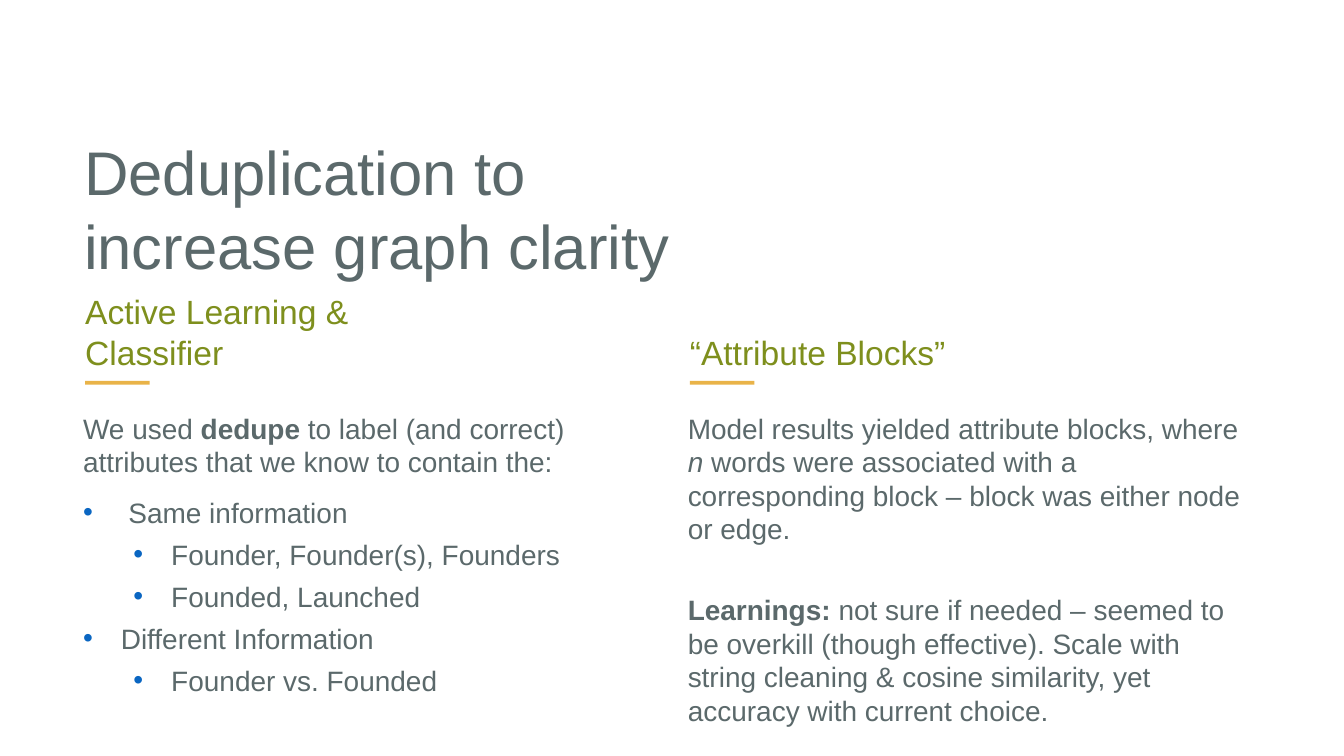
from lxml.etree import SubElement
from pptx import Presentation
from pptx.dml.color import RGBColor
from pptx.enum.shapes import MSO_SHAPE as Shape
from pptx.enum.text import MSO_ANCHOR as Anchor, MSO_AUTO_SIZE as AutoSize
from pptx.oxml.ns import qn
from pptx.util import Emu, Pt

EMU_PER_PX = 9144  # 100 px to the inch
SLATE, OLIVE, GOLD, BLUE = "5B696B", "7E8F1D", "E9B348", "0A66C2"
BODY_SIZE, TITLE_SIZE, HEADING_SIZE = 40, 88, 48
HANG = 75
COLUMN_WIDTH = 1136


def px(length):
    return Emu(length * EMU_PER_PX)


def color(hex_text):
    return RGBColor.from_string(hex_text)


class SlideBuilder:
    font_name = "Arial"
    line_factor = 1.2

    def __init__(self, page):
        self.page = page

    def text_box(self, left, top, width, height):
        box = self.page.shapes.add_textbox(px(left), px(top), px(width), px(height))
        box.text_frame.word_wrap = True
        return box.text_frame

    def style(self, para, size, hex_text, after):
        para.font.name = self.font_name
        para.font.size = Pt(size)
        para.font.color.rgb = color(hex_text)
        para.line_spacing = Pt(size * self.line_factor)
        para.space_after = Pt(after)

    def title(self, text, left, top, width, height):
        frame = self.text_box(left, top, width, height)
        frame.auto_size = AutoSize.SHAPE_TO_FIT_TEXT
        frame.text = text
        self.style(frame.paragraphs[0], TITLE_SIZE, SLATE, 24)

    def heading(self, text, left, width):
        """Add a bottom-aligned column heading with its short rule."""
        frame = self.text_box(left, 630, width, 108)
        frame.margin_left = frame.margin_right = 0
        frame.margin_top = frame.margin_bottom = 0
        frame.vertical_anchor = Anchor.BOTTOM
        frame.text = text
        self.style(frame.paragraphs[0], HEADING_SIZE, OLIVE, 36)

        rule = self.page.shapes.add_shape(
            Shape.RECTANGLE, px(left), px(756), px(128), px(7))
        rule.shadow.inherit = False
        rule.fill.solid()
        rule.fill.fore_color.rgb = color(GOLD)
        rule.line.fill.background()

    def body(self, left, height):
        frame = self.text_box(left, 811, COLUMN_WIDTH, height)
        frame.auto_size = AutoSize.SHAPE_TO_FIT_TEXT
        return frame

    def body_para(self, para, spans, before=0):
        """Fill a paragraph from (text, emphasis) pairs."""
        self.style(para, BODY_SIZE, SLATE, 24)
        para.space_before = Pt(before)
        for text, emphasis in spans:
            span = para.add_run()
            span.text = text
            span.font.bold = emphasis == "bold"
            span.font.italic = emphasis == "italic"

    def bullet(self, frame, text, level, hang):
        para = frame.add_paragraph()
        para.text = text
        para.level = level
        props = para._p.get_or_add_pPr()
        props.set("marL", str(px(level * 100 + hang)))
        props.set("indent", str(-px(hang)))
        bullet_color = SubElement(props, qn("a:buClr"))
        SubElement(bullet_color, qn("a:srgbClr"), val=BLUE)
        SubElement(props, qn("a:buFont"), typeface=self.font_name)
        SubElement(props, qn("a:buChar"), char="•")
        self.style(para, BODY_SIZE, SLATE, 12)


def main():
    deck = Presentation()
    deck.slide_width, deck.slide_height = px(2667), px(1500)
    builder = SlideBuilder(deck.slides.add_slide(deck.slide_layouts[6]))

    process = builder.body(155, 582)
    builder.body_para(process.paragraphs[0], [
        ("We used ", None),
        ("dedupe", "bold"),
        (" to label (and correct) attributes that we know to contain the:", None),
    ])
    for text, level, hang in [
        ("Same information", 0, HANG + 15),
        ("Founder, Founder(s), Founders", 1, HANG),
        ("Founded, Launched", 1, HANG),
        ("Different Information", 0, HANG),
        ("Founder vs. Founded", 1, HANG),
    ]:
        builder.bullet(process, text, level, hang)

    results = builder.body(1355, 508)
    builder.body_para(results.paragraphs[0], [
        ("Model results yielded attribute blocks, where ", None),
        ("n ", "italic"),
        ("words were associated with a corresponding block – "
         "block was either node or edge.", None),
    ])
    builder.body_para(results.add_paragraph(), [
        ("Learnings: ", "bold"),
        ("not sure if needed – seemed to be overkill (though effective). "
         "Scale with string cleaning & cosine similarity, "
         "yet accuracy with current choice.", None),
    ], before=43)

    builder.title("Deduplication to increase graph clarity", 157, 260, 1327, 306)
    builder.heading("Active Learning & Classifier", 169, 798)
    builder.heading("“Attribute Blocks”", 1369, 633)
    deck.save("out.pptx")


if __name__ == "__main__":
    main()
